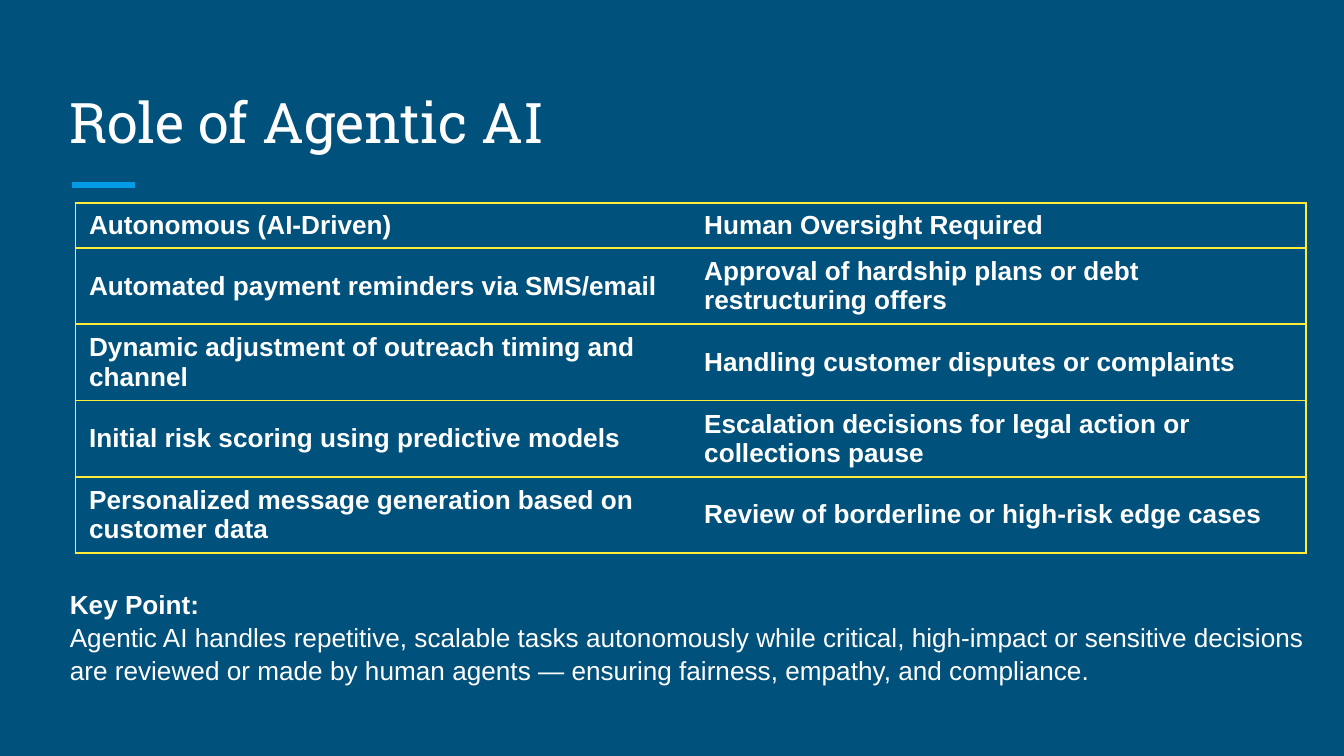
from lxml.etree import SubElement
from pptx import Presentation
from pptx.dml.color import RGBColor as RGB
from pptx.enum.shapes import MSO_CONNECTOR as Link
from pptx.enum.text import MSO_ANCHOR as Anchor
from pptx.oxml import parse_xml
from pptx.oxml.ns import nsdecls, qn
from pptx.util import Cm, Pt

HUES = {"back": "00517C", "text": "FFFFFF", "bar": "039BE5", "edge": "FFEB38"}
BODY = {"name": "Arial", "size": Pt(14)}
HEAD = {"name": "Roboto Slab", "size": Pt(30), "bold": False}
ROWS = [
    ("Autonomous (AI-Driven)", "Human Oversight Required"),
    ("Automated payment reminders via SMS/email",
     "Approval of hardship plans or debt restructuring offers"),
    ("Dynamic adjustment of outreach timing and channel",
     "Handling customer disputes or complaints"),
    ("Initial risk scoring using predictive models",
     "Escalation decisions for legal action or collections pause"),
    ("Personalized message generation based on customer data",
     "Review of borderline or high-risk edge cases"),
]
NOTES = [
    ("Key Point:", True),
    ("Agentic AI handles repetitive, scalable tasks autonomously while critical, "
     "high-impact or sensitive decisions", False),
    ("are reviewed or made by human agents — ensuring fairness, empathy, "
     "and compliance.", False),
]


def hue(name):
    return RGB.from_string(HUES[name])


def write(para, text, style):
    run = para.add_run()
    run.text = text
    for key, value in style.items():
        setattr(run.font, key, value)
    run.font.color.rgb = hue("text")


def add_box(slide, area, lines, **frame):
    text = slide.shapes.add_textbox(*map(Cm, area)).text_frame
    text.word_wrap = True
    for key, value in frame.items():
        setattr(text, key, value)
    for i, (words, style) in enumerate(lines):
        para = text.add_paragraph() if i else text.paragraphs[0]
        para.line_spacing = 1.05 if len(lines) > 1 else 1.0
        write(para, words, style)


def add_bar(slide, left, right, y):
    bar = slide.shapes.add_connector(Link.STRAIGHT, Cm(left), Cm(y), Cm(right), Cm(y))
    bar.line.color.rgb = hue("bar")
    bar.line.width = Pt(3)
    SubElement(bar.element.spPr, qn("a:effectLst"))


def set_edges(cell, shown):
    props = cell._tc.get_or_add_tcPr()
    for i, side in enumerate("LRTB"):
        fill = (f'<a:solidFill><a:srgbClr val="{HUES["edge"]}"/></a:solidFill>'
                if side in shown else "<a:noFill/>")
        props.insert(i, parse_xml(
            f'<a:ln{side} {nsdecls("a")} w="{Pt(1)}">{fill}</a:ln{side}>'))


def add_grid(slide, left, top, width, heights):
    grid = slide.shapes.add_table(len(ROWS), 2, Cm(left), Cm(top),
                                  Cm(width), Cm(sum(heights))).table
    grid.first_row = grid.horz_banding = False
    for r, (row, height) in enumerate(zip(ROWS, heights)):
        grid.rows[r].height = Cm(height)
        for c, words in enumerate(row):
            cell = grid.cell(r, c)
            cell.fill.solid()
            cell.fill.fore_color.rgb = hue("back")
            cell.vertical_anchor = Anchor.MIDDLE
            write(cell.text_frame.paragraphs[0], words, BODY | {"bold": True})
            set_edges(cell, "TB" + "LR"[c])


def main():
    """Build the slide on the role of agentic AI."""
    deck = Presentation()
    deck.slide_width, deck.slide_height = Cm(25.4), Cm(14.29)
    slide = deck.slides.add_slide(deck.slide_layouts[6])
    slide.background.fill.solid()
    slide.background.fill.fore_color.rgb = hue("back")
    add_bar(slide, 1.36, 2.55, 3.5)
    add_box(slide, (1.07, 1.27, 23.24, 1.9), [("Role of Agentic AI", HEAD)],
            vertical_anchor=Anchor.BOTTOM, margin_top=Cm(0.25),
            margin_bottom=Cm(0.25))
    add_grid(slide, 1.43, 3.84, 23.25, [0.81] + [1.37] * 4)
    add_box(slide, (1.07, 10.97, 23.98, 2.64),
            [(words, BODY | {"bold": bold}) for words, bold in NOTES])
    deck.save("out.pptx")


if __name__ == "__main__":
    main()
